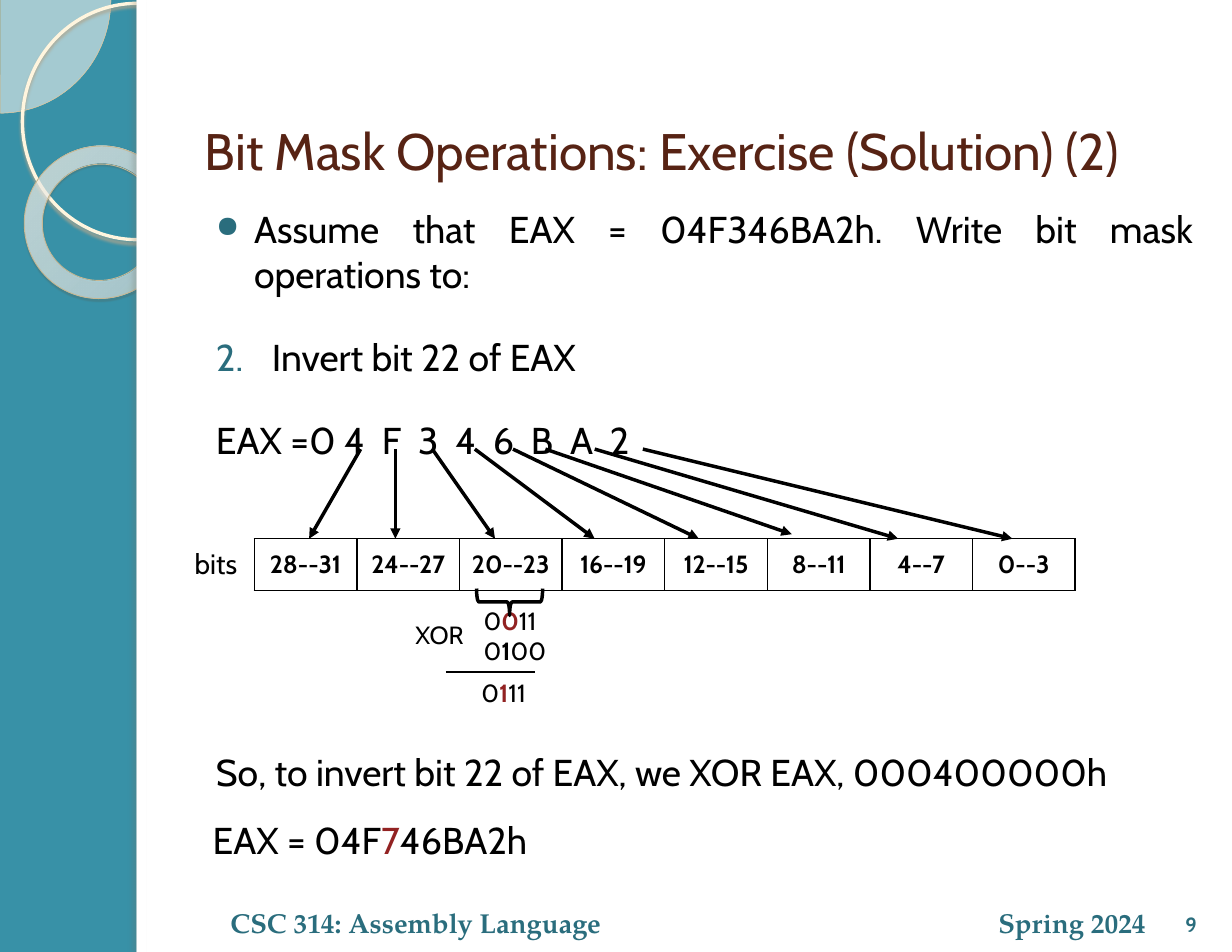
from lxml import etree
from pptx import Presentation
from pptx.dml.color import RGBColor
from pptx.enum.shapes import MSO_CONNECTOR, MSO_SHAPE
from pptx.enum.text import MSO_ANCHOR, PP_ALIGN
from pptx.oxml.ns import qn
from pptx.util import Inches, Pt

LEFT, CENTER, RIGHT, JUSTIFY = PP_ALIGN.LEFT, PP_ALIGN.CENTER, PP_ALIGN.RIGHT, PP_ALIGN.JUSTIFY
TOP, MIDDLE, BOTTOM = MSO_ANCHOR.TOP, MSO_ANCHOR.MIDDLE, MSO_ANCHOR.BOTTOM
STRAIGHT = MSO_CONNECTOR.STRAIGHT
PIE, OVAL, DONUT = MSO_SHAPE.PIE, MSO_SHAPE.OVAL, MSO_SHAPE.DONUT
RECT, BRACE = MSO_SHAPE.RECTANGLE, MSO_SHAPE.RIGHT_BRACE

COLS, ROWS = 110, 85  # grid over the whole slide
C = {"teal": "3891A7", "dark teal": "2A6D7D", "white": "FFFFFF", "black": "000000",
     "brown": "572314", "red": "922222", "cream": "FEFAF4", "tan": "D3C39F",
     "ring": "FFF5DE", "ring shade": "B0A68F", "donut line": "C7B893",
     "donut shade": "5A5444", "bar shade": "736F63"}


def rgb(name):
    return RGBColor.from_string(C[name])


def sub(parent, tag, **attrs):
    return etree.SubElement(parent, qn(tag), {k: str(v) for k, v in attrs.items()})


def add_run(p, text, size=24, color="black", bold=False, font="Cabin"):
    r = p.add_run()
    r.text = text
    r.font.size, r.font.bold, r.font.name = Pt(size), bold, font
    r.font.color.rgb = rgb(color)


class Deck:
    def __init__(self):
        self.prs = Presentation()
        self.prs.slide_width, self.prs.slide_height = Inches(11), Inches(8.5)
        self.s = self.prs.slides.add_slide(self.prs.slide_layouts[5])
        self.s.background.fill.solid()
        self.s.background.fill.fore_color.rgb = rgb("teal")

    def x(self, cols):
        return round(self.prs.slide_width * cols / COLS)

    def y(self, rows):
        return round(self.prs.slide_height * rows / ROWS)

    def box(self, x, y, w, h):
        return self.x(x), self.y(y), self.x(w), self.y(h)

    def shape(self, kind, area, fill=None, alpha=None, line=None, width=1, adj=(),
              rotation=0, shadow=None):
        sp = self.s.shapes.add_shape(kind, *self.box(*area))
        sp.rotation = rotation
        for i, value in enumerate(adj):
            sp.adjustments[i] = value
        if fill:
            sp.fill.solid()
            sp.fill.fore_color.rgb = rgb(fill)
            if alpha:
                clr = sp._element.spPr.find(qn("a:solidFill"))[0]
                sub(clr, "a:alpha", val=alpha * 1000)
        else:
            sp.fill.background()
        if line:
            sp.line.color.rgb, sp.line.width = rgb(line), Pt(width)
        else:
            sp.line.fill.background()
        sp.shadow.inherit = False
        if shadow:
            color, opacity, blur, dist, angle = shadow
            effects = sp._element.spPr.find(qn("a:effectLst"))
            sh = sub(effects, "a:outerShdw", blurRad=Pt(blur), dist=Pt(dist),
                     dir=angle * 60000, algn="tl", rotWithShape=0)
            sub(sub(sh, "a:srgbClr", val=C[color]), "a:alpha", val=opacity * 1000)
        return sp

    def radial(self, sp, stops, rect):
        grad = etree.Element(qn("a:gradFill"), rotWithShape="1")
        stop_list = sub(grad, "a:gsLst")
        for pos, color, alpha in stops:
            clr = sub(sub(stop_list, "a:gs", pos=pos * 1000), "a:srgbClr", val=color)
            sub(clr, "a:alpha", val=alpha * 1000)
        sub(sub(grad, "a:path", path="circle"), "a:fillToRect",
            **{side: share * 1000 for side, share in zip("ltrb", rect)})
        spPr = sp._element.spPr
        spPr.replace(spPr.find(qn("a:noFill")), grad)

    def title(self, area, text, **fmt):
        sp = self.s.shapes.title
        sp.left, sp.top, sp.width, sp.height = self.box(*area)
        tree = sp._element.getparent()
        tree.append(sp._element)  # in front of the white panel
        sp.text_frame.word_wrap, sp.text_frame.vertical_anchor = True, MIDDLE
        p = sp.text_frame.paragraphs[0]
        p.alignment = LEFT
        add_run(p, text, **fmt)

    def text(self, area, *runs, align=LEFT, anchor=TOP):
        tf = self.s.shapes.add_textbox(*self.box(*area)).text_frame
        tf.word_wrap, tf.vertical_anchor = True, anchor
        p = tf.paragraphs[0]
        p.alignment = align
        for text, fmt in runs:
            add_run(p, text, **fmt)
        return tf

    def body(self, area, items):
        tf = self.text(area)
        for i, (text, margin, indent, before, bullet) in enumerate(items):
            p = tf.add_paragraph() if i else tf.paragraphs[0]
            p.alignment = JUSTIFY
            p.space_before, p.space_after = Pt(before), Pt(18)
            add_run(p, text)
            pPr = p._p.get_or_add_pPr()
            pPr.set("marL", str(Inches(margin)))
            pPr.set("indent", str(Inches(indent)))
            if bullet:
                tag, size, attrs = bullet
                sub(sub(pPr, "a:buClr"), "a:srgbClr", val=C["dark teal"])
                sub(pPr, "a:buSzPct", val=size * 1000)
                sub(pPr, tag, **attrs)

    def line(self, x1, y1, x2, y2, width, arrow=False):
        cn = self.s.shapes.add_connector(STRAIGHT, self.x(x1), self.y(y1), self.x(x2), self.y(y2))
        cn.line.color.rgb, cn.line.width = rgb("black"), Pt(width)
        if arrow:
            sub(cn.line._get_or_add_ln(), "a:tailEnd", type="triangle")
        sub(cn._element.spPr, "a:effectLst")

    def table(self, area, labels, **fmt):
        table = self.s.shapes.add_table(1, len(labels), *self.box(*area)).table
        table.first_row = table.horz_banding = False
        for cell, label in zip(table.rows[0].cells, labels):
            cell.vertical_anchor = MIDDLE
            p = cell.text_frame.paragraphs[0]
            p.alignment = CENTER
            add_run(p, label, **fmt)
            tcPr = cell._tc.get_or_add_tcPr()
            for side in "LRTB":
                ln = sub(tcPr, f"a:ln{side}", w=Pt(1))
                sub(sub(ln, "a:solidFill"), "a:srgbClr", val=C["black"])
            cell.fill.background()


def main():
    d = Deck()

    # Side band with circles, then the white panel
    for _ in range(2):
        d.shape(PIE, (-9.8, -10.2, 19.7, 20.3), "cream", 33, "tan", 0.25, adj=(0, 54.02))
    d.shape(OVAL, (2, 0.3, 20.5, 21.1), line="ring", width=2.15,
            shadow=("ring shade", 85, 2, 2, 90))
    donut = d.shape(DONUT, (2.2, 13, 13.5, 13.7), line="donut line", width=0.58, adj=(0.12,),
                    rotation=38.6, shadow=("donut shade", 35, 1, 1.2, 75))
    d.radial(donut, [(0, "FFFCF6", 70), (70, "FFFEFB", 55), (100, "F0D28E", 60)],
             (-408, -50, 508, 150))
    d.shape(RECT, (12.2, 0, 97.8, ROWS), "white")
    d.shape(RECT, (12.2, 0, 0.9, ROWS), "white", shadow=("bar shade", 25, 3, 3, 180))

    # Footer
    footer = dict(size=17.6, color="dark teal", bold=True, font="TeX Gyre Pagella")
    d.text((19.6, 77.4, 45, 6.9), ("CSC 314: Assembly Language", footer), anchor=BOTTOM)
    d.text((78.3, 77.4, 25, 6.9), ("Spring 2024", footer), align=RIGHT, anchor=BOTTOM)
    d.text((103.6, 78.2, 5.5, 5.9), ("9", dict(size=13.2, color="dark teal", bold=True)),
           align=CENTER, anchor=BOTTOM)

    # Title and body
    d.title((17.3, 6.3, 90.2, 14.2), "Bit Mask Operations: Exercise (Solution) (2)",
            size=33, color="brown")
    d.body((17.3, 17.9, 90.2, 62.4), [
        ("Assume that EAX = 04F346BA2h. Write bit mask operations to:", 0.44, -0.34, 6.6,
         ("a:buChar", 80, {"char": "●"})),
        ("Invert bit 22 of EAX", 0.6, -0.5, 6.6,
         ("a:buAutoNum", 100, {"type": "arabicPeriod", "startAt": 2})),
        ("EAX =0 4  F  3  4  6  B  A  2", 0.1, 0, 6.6, None),
        ("So, to invert bit 22 of EAX, we XOR EAX, 000400000h", 0.1, 0, 166.8, None),
    ])
    d.text((18, 72.5, 55.1, 5), ("EAX = 04F", {}), ("7", dict(color="red")), ("46BA2h", {}))

    # Bit ranges, one per hex digit
    ranges = [f"{low}--{low + 3}" for low in range(28, -1, -4)]
    d.table((22.7, 48.1, 73.3, 4.6), ranges, size=16, bold=True)
    d.text((16.4, 48.3, 6.3, 4), ("bits", dict(size=18)))
    for start, end, tip in [(32.2, 27.6, 48.1), (35.3, 35.3, 48.1), (38.6, 44.2, 48.1),
                            (42.4, 53.1, 48.1), (45.8, 62.4, 48.1), (48.7, 70.7, 47.7),
                            (53.1, 80.2, 48.1), (57.4, 90.4, 48.1)]:
        d.line(start, 40.1, end, tip, 2.25, arrow=True)

    # XOR sum, with bit 22 in bold
    for x, y, bits, color in [(42.2, 53.6, "0011", "red"), (42.2, 56.3, "0100", "black"),
                              (42, 60, "0111", "red")]:
        d.text((x, y, 8.9, 3.7), (bits[0], dict(size=16)),
               (bits[1], dict(size=16, color=color, bold=True)), (bits[2:], dict(size=16)))
    d.text((36.1, 54.8, 8.9, 3.7), ("XOR", dict(size=16)))
    d.line(39.8, 60, 47.8, 60, 1.5)
    d.shape(BRACE, (44.3, 50.8, 2.4, 5.9), line="black", width=2.25, rotation=90)

    d.prs.save("out.pptx")


if __name__ == "__main__":
    main()
